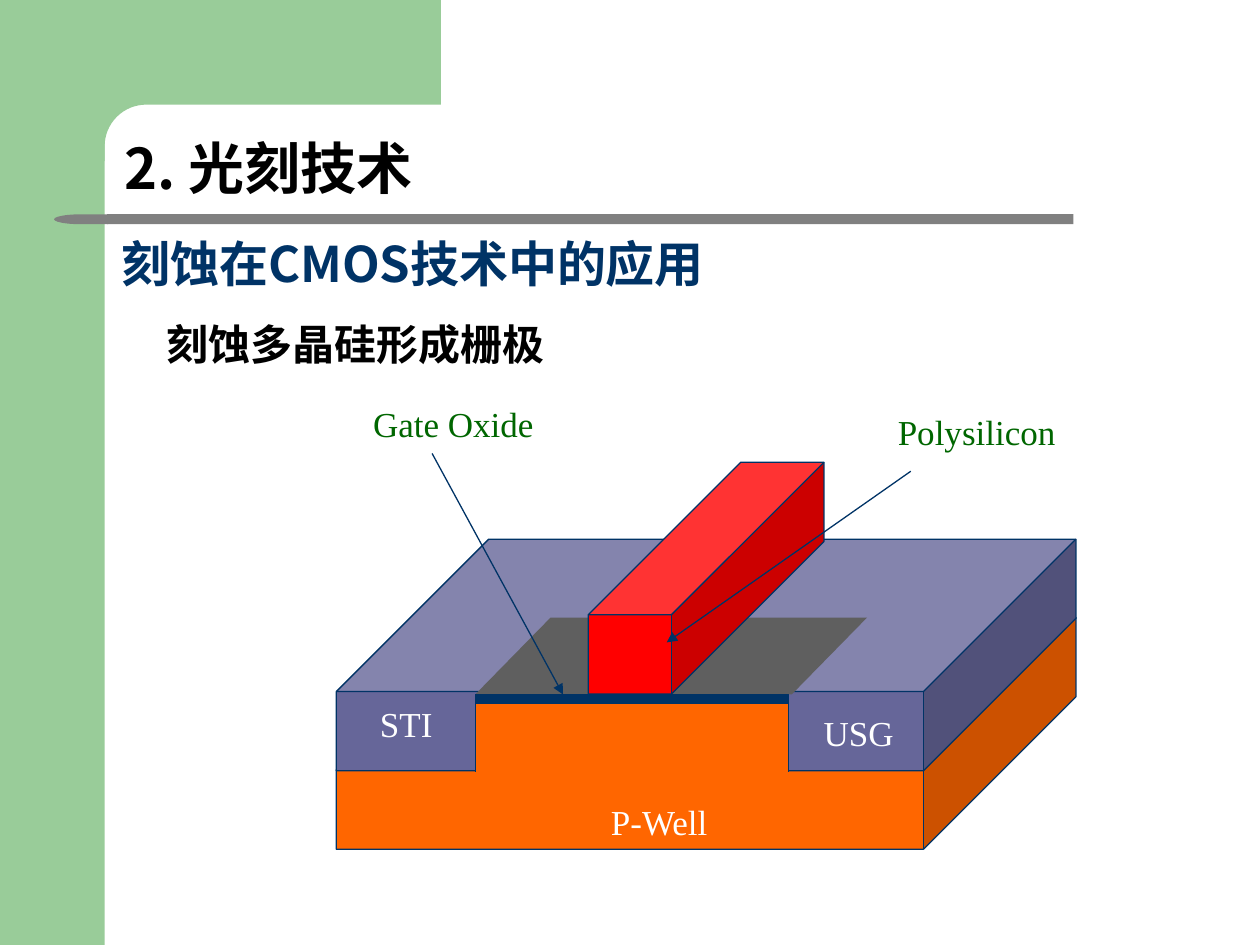
from math import cos, pi, sin

from lxml.etree import SubElement
from pptx import Presentation
from pptx.dml.color import RGBColor
from pptx.enum.shapes import MSO_CONNECTOR, MSO_SHAPE
from pptx.enum.text import MSO_ANCHOR, MSO_AUTO_SIZE, PP_ALIGN
from pptx.oxml.ns import qn
from pptx.util import Cm, Pt

HUES = {
    "green": "99CC99", "gray": "808080", "well": "FF6600", "trench": "666699",
    "floor": "5F5F5F", "navy": "003366", "gate": "FF0000", "label": "006600",
    "white": "FFFFFF", "black": "000000",
}
CJK, LATIN = "Noto Sans CJK SC", "Times New Roman"

TITLE = "2. 光刻技术"
TOPIC = "刻蚀在CMOS技术中的应用"
STEP = "刻蚀多晶硅形成栅极"

# Edges of the transistor drawing, in cm
LEFT, RIGHT = 9.58, 15.9      # active area between the trenches
BACK, FRONT = 12.45, 14.0     # rear and front edges of its surface
OXIDE, BASE = 0.18, 15.57     # oxide thickness, trench bottom
SPAN = RIGHT - LEFT
CUBE, SLANT = 0.658, 0.98
RUN = SPAN + SLANT * (FRONT - BACK) + 0.06

# kind, box, fill, line, adjustment
BARS = [
    (MSO_SHAPE.RECTANGLE, (0, 0, 2.11, 19.05), "green", None, None),
    (MSO_SHAPE.ROUNDED_RECTANGLE, (2.16, 4.32, 19.48, 0.2), "gray", None, 0),
    (MSO_SHAPE.FLOWCHART_DELAY, (1.09, 4.32, 1.09, 0.2), "gray", None, None),
]
SOLIDS = [
    (MSO_SHAPE.CUBE, (6.78, 12.45, 14.91, 4.67), "well", "navy", CUBE),
    (MSO_SHAPE.CUBE, (6.78, 10.87, 14.91, 4.67), "trench", "navy", CUBE),
    (MSO_SHAPE.RECTANGLE, (LEFT, FRONT, SPAN, 1.9), "well", None, None),
    (MSO_SHAPE.PARALLELOGRAM, (LEFT, BACK, RUN, FRONT - BACK), "floor", None, SLANT),
    (MSO_SHAPE.RECTANGLE, (LEFT, FRONT, SPAN, OXIDE), "navy", "navy", None),
    (MSO_SHAPE.CUBE, (11.86, 9.32, 4.75, 4.67), "gate", "navy", CUBE),
]
LABELS = [
    ("P-Well", (11.18, 16.02, 4.22, 0.91), "white"),
    ("USG", (16.08, 14.22, 2.46, 0.91), "white"),
    ("STI", (6.96, 14.04, 2.46, 0.91), "white"),
    ("Gate Oxide", (5.89, 7.98, 6.5, 0.91), "label"),
    ("Polysilicon", (17.15, 8.15, 5.08, 0.91), "label"),
]
# start, end, arrowhead
LINES = [
    ((8.71, 9.14), (11.35, FRONT), True),
    ((18.36, 9.5), (13.44, 12.95), True),
    ((LEFT, FRONT + OXIDE), (LEFT, BASE), False),
    ((RIGHT, FRONT + OXIDE), (RIGHT, BASE), False),
]


def tint(name):
    return RGBColor.from_string(HUES[name])


def paint(shape, fill, line=None):
    shape.shadow.inherit = False
    shape.fill.solid()
    shape.fill.fore_color.rgb = tint(fill)
    if line:
        shape.line.color.rgb = tint(line)
        shape.line.width = Pt(0.75)
    else:
        shape.line.fill.background()


def solid(slide, kind, box, fill, line, adjust):
    shape = slide.shapes.add_shape(kind, *map(Cm, box))
    if adjust is not None:
        shape.adjustments[0] = adjust
    paint(shape, fill, line)
    return shape


def corner(slide):
    """Green top band whose inner corner is rounded."""
    side, top, radius = 2.11, 2.11, 0.84
    turns = [pi / 2 * n / 16 for n in range(17)]
    arc = [(side + radius * (1 - sin(t)), top + radius * (1 - cos(t))) for t in turns]
    points = [(8.89, 0), (8.89, top), *arc, (side, 3.25), (1.27, 3.25), (1.27, 0)]
    points = [(Cm(x), Cm(y)) for x, y in points]
    maker = slide.shapes.build_freeform(*points[0])
    maker.add_line_segments(points[1:], close=True)
    paint(maker.convert_to_shape(), "green")


def write(shape, text, box=None, font=LATIN, size=20, color="black", bold=False,
          align=PP_ALIGN.LEFT, anchor=MSO_ANCHOR.TOP, spacing=None, hang=0):
    if box:
        shape.left, shape.top, shape.width, shape.height = map(Cm, box)
    frame = shape.text_frame
    frame.word_wrap = True
    frame.auto_size = MSO_AUTO_SIZE.NONE
    frame.vertical_anchor = anchor
    para = frame.paragraphs[0]
    para.alignment = align
    para.space_before = Pt(0)
    if spacing:
        para.line_spacing = spacing
    if hang:
        props = para._p.get_or_add_pPr()
        props.set("marL", str(Cm(hang)))
        props.set("indent", str(-Cm(hang)))
        SubElement(props, qn("a:buNone"))
    run = para.add_run()
    run.text = text
    run.font.name, run.font.size, run.font.bold = font, Pt(size), bold
    run.font.color.rgb = tint(color)
    SubElement(run._r.get_or_add_rPr(), qn("a:ea")).set("typeface", font)


def link(slide, start, end, arrow):
    ends = map(Cm, (*start, *end))
    line = slide.shapes.add_connector(MSO_CONNECTOR.STRAIGHT, *ends)
    line.line.color.rgb = tint("navy")
    line.line.width = Pt(0.75)
    props = line._element.spPr
    if arrow:
        SubElement(props.find(qn("a:ln")), qn("a:tailEnd")).set("type", "triangle")
    SubElement(props, qn("a:effectLst"))


def main():
    deck = Presentation()
    deck.slide_width, deck.slide_height = Cm(25.4), Cm(19.05)
    slide = deck.slides.add_slide(deck.slide_layouts[1])
    title, body = slide.placeholders

    band, bar, tip = [solid(slide, *item) for item in BARS]
    tip.rotation = 180
    corner(slide)
    for item in SOLIDS:
        solid(slide, *item)
    for text, box, color in LABELS:
        label = slide.shapes.add_textbox(*map(Cm, box))
        write(label, text, color=color, align=PP_ALIGN.CENTER)
    for item in LINES:
        link(slide, *item)

    head = dict(font=CJK, bold=True, anchor=MSO_ANCHOR.BOTTOM, spacing=0.9)
    write(title, TITLE, (2.25, 2.13, 8.7, 2.07), size=32, **head)
    topic = slide.shapes.add_textbox(0, 0, 0, 0)
    write(topic, TOPIC, (2.2, 4.72, 14.4, 1.31), size=28, color="navy", **head)
    write(body, STEP, (3.1, 6.3, 12.4, 1.8), font=CJK, size=24, bold=True, hang=0.97)
    deck.save("out.pptx")


if __name__ == "__main__":
    main()
